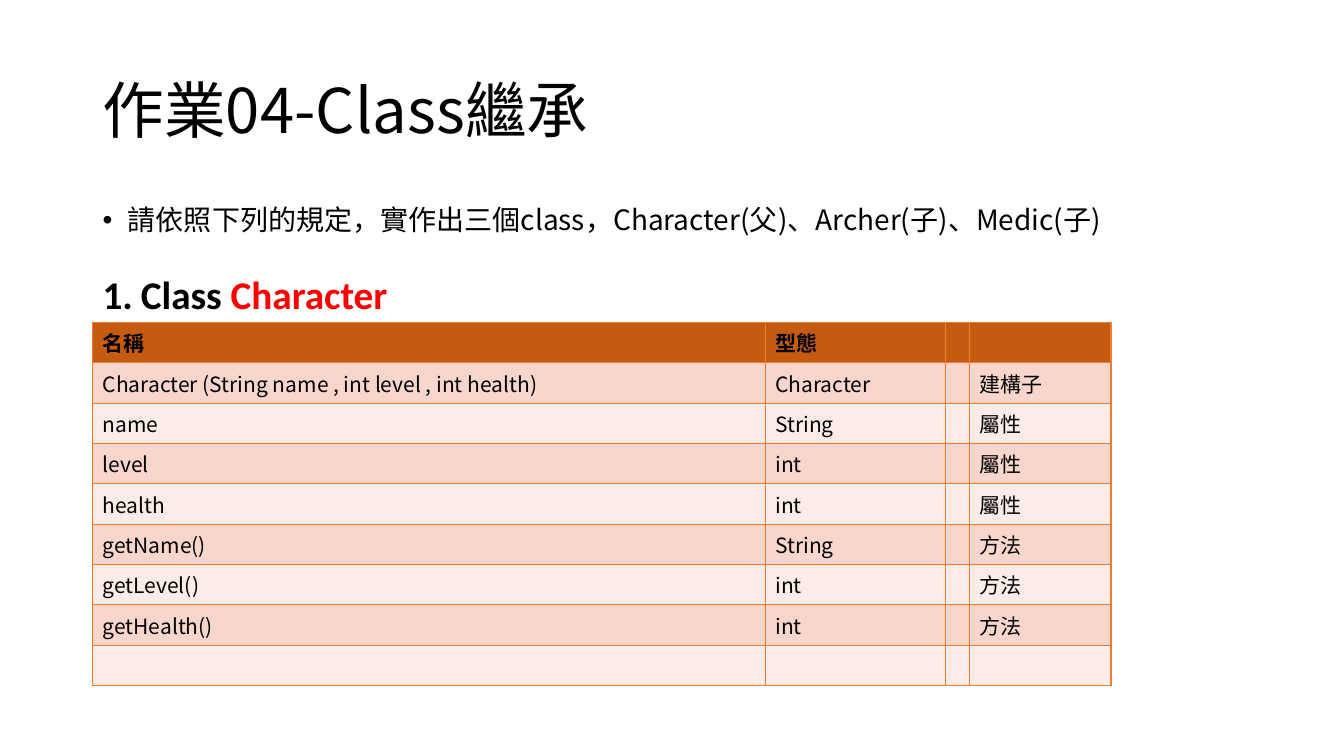
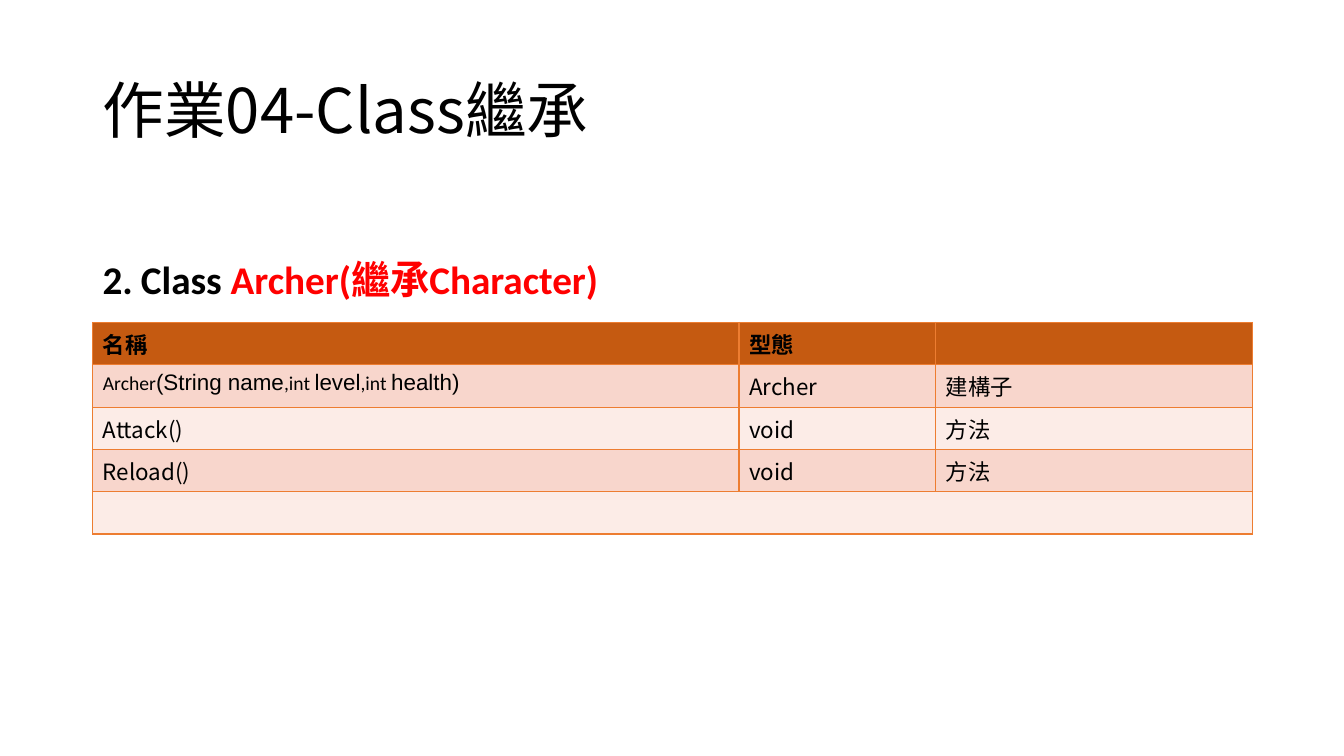
from dataclasses import dataclass

from lxml import etree
from pptx import Presentation
from pptx.dml.color import RGBColor
from pptx.enum.text import MSO_ANCHOR
from pptx.oxml.ns import qn
from pptx.util import Inches, Pt

TOP, MIDDLE = MSO_ANCHOR.TOP, MSO_ANCHOR.MIDDLE


@dataclass(frozen=True)
class Theme:
    ink: str = "000000"
    accent: str = "FF0000"
    border: str = "ED7D31"
    header: str = "C55A11"
    bands: tuple = ("F8D6CC", "FCECE7")
    cjk: str = "Noto Sans CJK TC"
    latin: str = "Calibri"
    mono: str = "Arial"
    title: int = 44
    heading: int = 28
    body: int = 20
    small: int = 14
    left: float = 0.92
    table_top: float = 3.2


THEME = Theme()
TITLE = "作業04-Class繼承"

SLIDES = [
    {
        "intro": "請依照下列的規定，實作出三個class，Character(父)、Archer(子)、Medic(子)",
        "class_name": "Character",
        "heading_top": 2.63,
        "columns": [6.67, 1.79, 0.24, 1.4],
        "row_height": 0.4,
        "size": 15,
        "merge_last": False,
        "rows": [
            ("名稱", "型態", "", ""),
            ("Character (String name , int level , int health)", "Character", "", "建構子"),
            ("name", "String", "", "屬性"),
            ("level", "int", "", "屬性"),
            ("health", "int", "", "屬性"),
            ("getName()", "String", "", "方法"),
            ("getLevel()", "int", "", "方法"),
            ("getHealth()", "int", "", "方法"),
            ("", "", "", ""),
        ],
    },
    {
        "intro": None,
        "class_name": "Archer(繼承Character)",
        "heading_top": 2.48,
        "columns": [6.41, 1.95, 3.14],
        "row_height": 0.42,
        "size": 16,
        "merge_last": True,
        "rows": [
            ("名稱", "型態", ""),
            (
                [
                    ("Archer", THEME.small, THEME.latin),
                    ("(String name", 16, THEME.mono),
                    (",int ", THEME.small, THEME.latin),
                    ("level", 16, THEME.mono),
                    (",int ", THEME.small, THEME.latin),
                    ("health)", 16, THEME.mono),
                ],
                "Archer",
                "建構子",
            ),
            ("Attack()", "void", "方法"),
            ("Reload()", "void", "方法"),
            ("", "", ""),
        ],
    },
]


def add_fonts(properties, latin):
    for tag, face in (("a:latin", latin), ("a:ea", THEME.cjk)):
        etree.SubElement(properties, qn(tag), typeface=face)


def add_run(paragraph, text, size, face=THEME.cjk, color=THEME.ink, bold=False):
    run = paragraph.add_run()
    run.text = text
    run.font.size = Pt(size)
    run.font.bold = bold
    run.font.color.rgb = RGBColor.from_string(color)
    add_fonts(run.font._element, face)


def add_text(slide, top, width, height, anchor=TOP):
    frame = slide.shapes.add_textbox(
        Inches(THEME.left), Inches(top), Inches(width), Inches(height)
    ).text_frame
    frame.word_wrap = True
    frame.vertical_anchor = anchor
    return frame.paragraphs[0]


def add_bullet(paragraph, indent, tag, **attributes):
    properties = paragraph._p.get_or_add_pPr()
    properties.set("marL", str(Inches(indent)))
    properties.set("indent", str(-Inches(indent)))
    color = etree.SubElement(properties, qn("a:buClr"))
    etree.SubElement(color, qn("a:srgbClr"), val=THEME.ink)
    if tag == "a:buChar":
        etree.SubElement(properties, qn("a:buFont"), typeface=THEME.mono)
    etree.SubElement(properties, qn(tag), **attributes)


def style_cell(cell, color):
    cell.fill.solid()
    cell.fill.fore_color.rgb = RGBColor.from_string(color)
    properties = cell._tc.get_or_add_tcPr()
    for position, side in enumerate(("a:lnL", "a:lnR", "a:lnT", "a:lnB")):
        line = etree.Element(qn(side), w=str(Pt(1)))
        fill = etree.SubElement(line, qn("a:solidFill"))
        etree.SubElement(fill, qn("a:srgbClr"), val=THEME.border)
        properties.insert(position, line)


def fill_cell(cell, content, size, bold):
    paragraph = cell.text_frame.paragraphs[0]
    if not content:
        end = etree.SubElement(paragraph._p, qn("a:endParaRPr"), sz=str(size * 100))
        add_fonts(end, THEME.cjk)
        return
    runs = [(content, size, THEME.cjk)] if isinstance(content, str) else content
    for text, run_size, face in runs:
        add_run(paragraph, text, run_size, face, bold=bold)


def add_members(slide, data):
    rows, columns, height = data["rows"], data["columns"], data["row_height"]
    table = slide.shapes.add_table(
        len(rows), len(columns), Inches(THEME.left), Inches(THEME.table_top),
        Inches(sum(columns)), Inches(height * len(rows)),
    ).table
    table.first_row = table.horz_banding = False
    for column, width in zip(table.columns, columns):
        column.width = Inches(width)
    for index, (row, members) in enumerate(zip(table.rows, rows)):
        row.height = Inches(height)
        is_header = index == 0
        color = THEME.header if is_header else THEME.bands[(index - 1) % 2]
        for cell, content in zip(row.cells, members):
            style_cell(cell, color)
            fill_cell(cell, content, data["size"], is_header)
    if data["merge_last"]:
        last = len(rows) - 1
        table.cell(last, 0).merge(table.cell(last, len(columns) - 1))


def add_class_slide(deck, number, data):
    slide = deck.slides.add_slide(deck.slide_layouts[6])
    title = add_text(slide, 0.4, 11.5, 1.45, MIDDLE)
    title.line_spacing = 0.9
    add_run(title, TITLE, THEME.title)
    if data["intro"]:
        intro = add_text(slide, 2, 11.98, 4.76)
        intro.line_spacing = 0.9
        add_bullet(intro, 0.25, "a:buChar", char="•")
        add_run(intro, data["intro"], THEME.body)
    add_members(slide, data)
    heading = add_text(slide, data["heading_top"], 7.44, 0.57)
    add_bullet(heading, 0.38, "a:buAutoNum", type="arabicPeriod", startAt=str(number))
    add_run(heading, "Class ", THEME.heading, THEME.latin, bold=True)
    add_run(heading, data["class_name"], THEME.heading, THEME.latin, THEME.accent, True)


def main():
    deck = Presentation()
    deck.slide_width, deck.slide_height = Inches(13.33), Inches(7.5)
    for number, data in enumerate(SLIDES, 1):
        add_class_slide(deck, number, data)
    deck.save("out.pptx")


if __name__ == "__main__":
    main()
